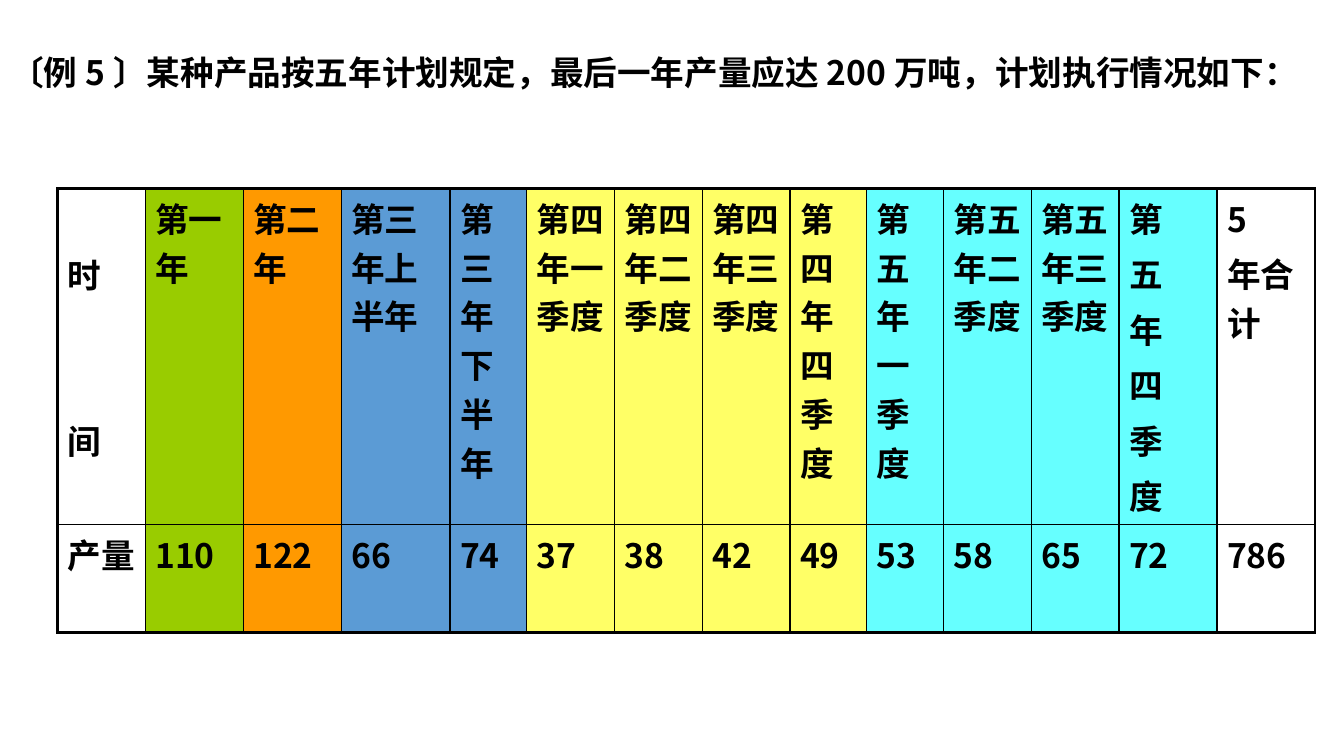
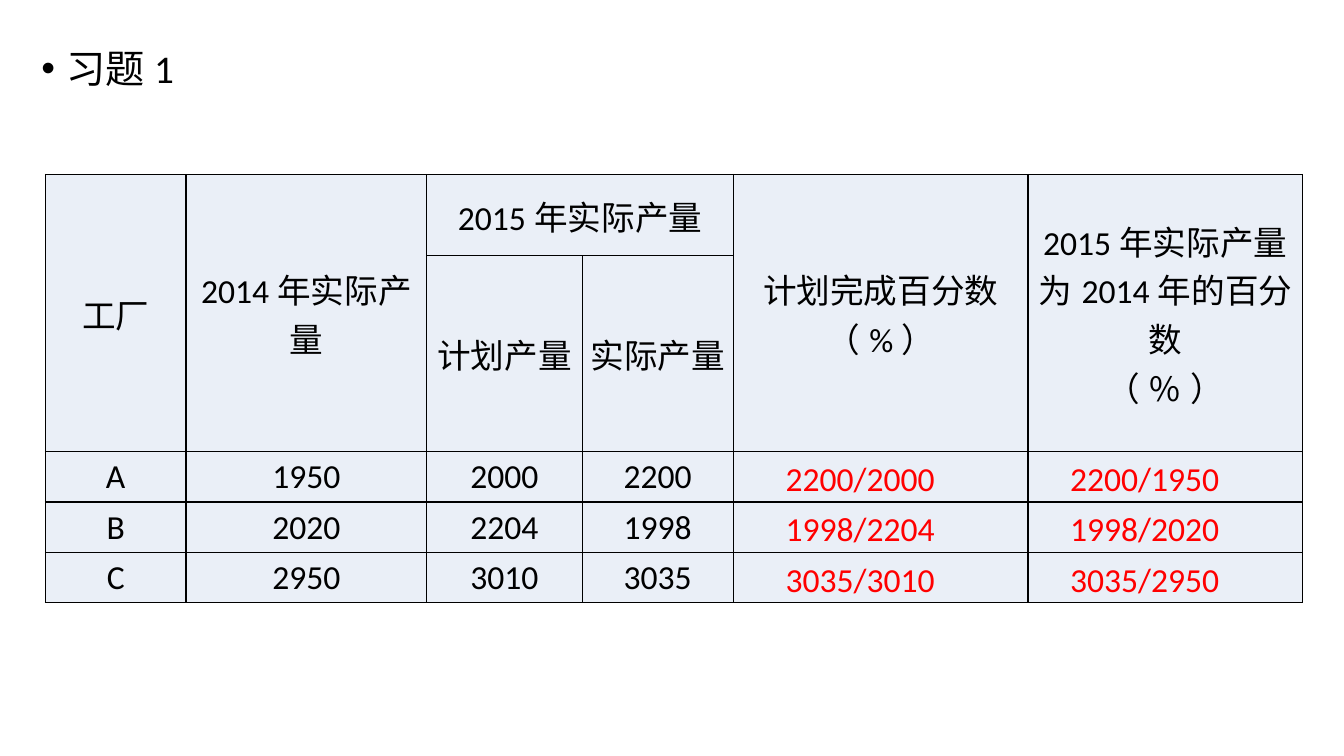
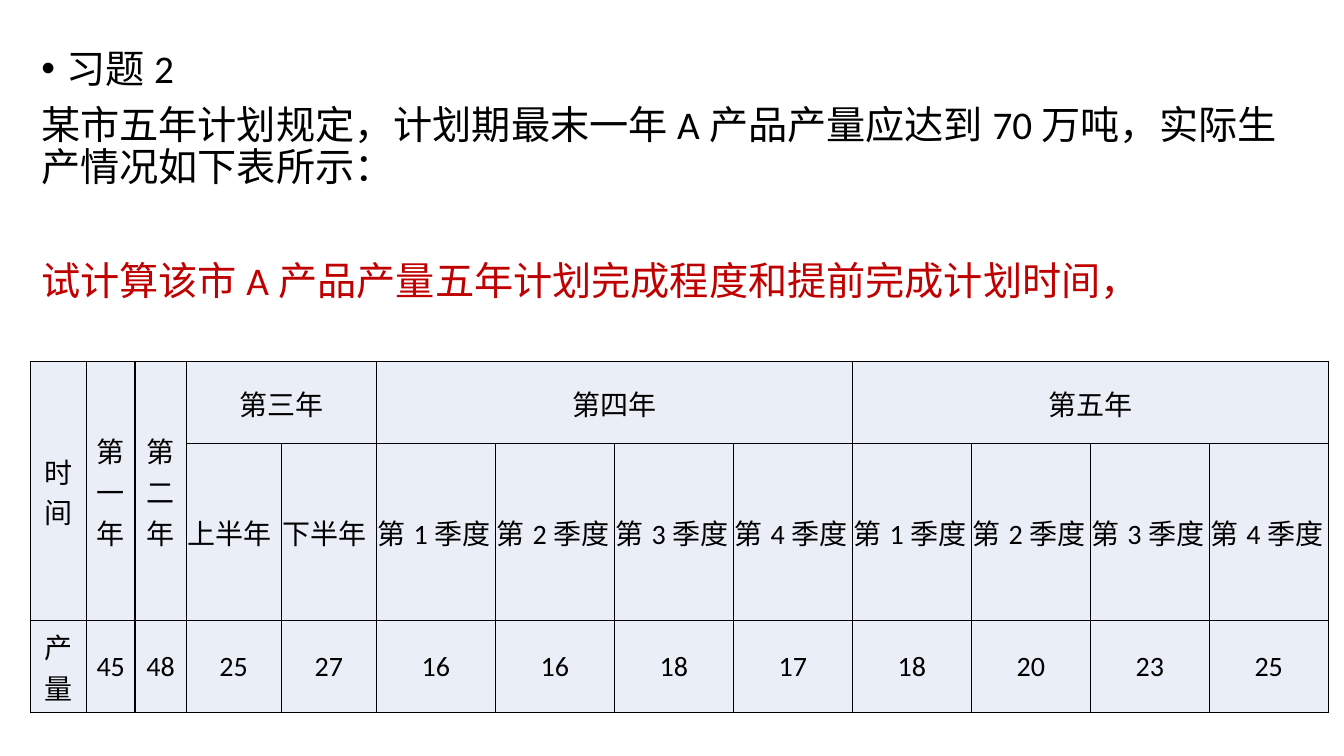
from lxml.etree import SubElement
from pptx import Presentation
from pptx.dml.color import RGBColor
from pptx.enum.lang import MSO_LANGUAGE_ID as LANG
from pptx.enum.text import MSO_ANCHOR as ANCHOR, MSO_AUTO_SIZE as AUTO, PP_ALIGN as ALIGN
from pptx.oxml.ns import qn
from pptx.util import Pt

COLORS = {
    "text": "000000", "answer": "FF0000", "task": "C00000", "cell": "EAEFF7",
    "year1": "99CC00", "year2": "FF9900", "year3": "5B9BD5",
    "year4": "FFFF66", "year5": "66FFFF",
}
HAN_FONT = "Noto Sans CJK SC"
LATIN_FONT = "Calibri"
TITLE_ONLY, TITLE_AND_CONTENT = 5, 1
THIN, THICK = 1, 2.25
QUARTERS = "一二三四"

BOLD_HAN = {"name": HAN_FONT, "size": Pt(24), "bold": True}
BODY_FONT = {"name": LATIN_FONT, "size": Pt(28), "bold": False}
EXERCISE_FONT = {"name": LATIN_FONT, "size": Pt(24), "bold": False}
SMALL_FONT = {**EXERCISE_FONT, "size": Pt(20)}
TIGHT_CELL = {"margin_left": Pt(0.75), "margin_right": Pt(0.75), "margin_top": Pt(0.75),
              "margin_bottom": Pt(0), "vertical_anchor": ANCHOR.MIDDLE}
ANSWER_CELL = {"margin_right": Pt(30), "margin_top": Pt(4.5)}


def set_values(target, values):
    for name, value in values.items():
        setattr(target, name, value)


def place(shape, left, top, width, height):
    set_values(shape, {"left": Pt(left), "top": Pt(top), "width": Pt(width), "height": Pt(height)})


def write_span(para, text, font, color="text", han_font=HAN_FONT):
    """Add a run; han_font sets the East Asian typeface and so the line height."""
    span = para.add_run()
    span.text = text
    set_values(span.font, {**font, "language_id": LANG.SIMPLIFIED_CHINESE})
    span.font.color.rgb = RGBColor.from_string(COLORS[color])
    SubElement(span.font._element, qn("a:ea"), typeface=han_font)


def write_paragraphs(frame, lines, font, color="text", align=ALIGN.LEFT, gap=0):
    for index, line in enumerate(lines):
        para = frame.add_paragraph() if index else frame.paragraphs[0]
        para.alignment = align
        if index and gap:
            para.space_before = Pt(gap)
        write_span(para, line, font, color)


def set_bullet(para, char=None):
    """Show the bullet char with a hanging indent, or no bullet at all."""
    props = para._p.get_or_add_pPr()
    indent = Pt(18) if char else 0
    props.set("marL", str(indent))
    props.set("indent", str(-indent))
    if char:
        SubElement(props, qn("a:buFont"), typeface="Arial")
        SubElement(props, qn("a:buChar"), char=char)
    else:
        SubElement(props, qn("a:buNone"))


def add_title_slide(deck, text):
    page = deck.slides.add_slide(deck.slide_layouts[TITLE_ONLY])
    title = page.shapes.title
    place(title, 0, 0, 960, 106)
    set_values(title.text_frame, {"vertical_anchor": ANCHOR.MIDDLE, "auto_size": AUTO.NONE})
    write_paragraphs(title.text_frame, [text], BOLD_HAN)
    title.text_frame.paragraphs[0].line_spacing = 0.9
    return page


def add_exercise_slide(deck, heading, details=()):
    """Details are (text, colour, space before) below the bulleted heading."""
    page = deck.slides.add_slide(deck.slide_layouts[TITLE_AND_CONTENT])
    title = page.shapes.title
    title._element.getparent().remove(title._element)
    body = page.placeholders[1]
    place(body, 22.3, 31.7, 918.7, 366.5)
    frame = body.text_frame
    frame.auto_size = AUTO.NONE
    for index, (text, color, gap) in enumerate([(heading, "text", 0), *details]):
        para = frame.add_paragraph() if index else frame.paragraphs[0]
        set_bullet(para, None if index else "•")
        set_values(para, {"line_spacing": 0.9, "space_before": Pt(gap), "alignment": ALIGN.LEFT})
        write_span(para, text, BODY_FONT, color, LATIN_FONT)
    return page


def add_grid(page, left, top, widths, heights, merges=()):
    """Add a plain table; merges are (first row, first column, last row, last column)."""
    frame = page.shapes.add_table(len(heights), len(widths), Pt(left), Pt(top),
                                  Pt(sum(widths)), Pt(sum(heights)))
    table = frame.table
    set_values(table, {"first_row": False, "horz_banding": False})
    for column, width in zip(table.columns, widths):
        column.width = Pt(width)
    for row, height in zip(table.rows, heights):
        row.height = Pt(height)
    for row, column, last_row, last_column in merges:
        table.cell(row, column).merge(table.cell(last_row, last_column))
    return table


def set_borders(table, outer=THIN):
    last_row, last_column = len(table.rows) - 1, len(table.columns) - 1
    for row in range(last_row + 1):
        for column in range(last_column + 1):
            props = table.cell(row, column)._tc.get_or_add_tcPr()
            edges = {"L": column == 0, "R": column == last_column,
                     "T": row == 0, "B": row == last_row}
            for side, is_outer in edges.items():
                line = SubElement(props, qn(f"a:ln{side}"), w=str(Pt(outer if is_outer else THIN)))
                fill = SubElement(line, qn("a:solidFill"))
                SubElement(fill, qn("a:srgbClr"), val=COLORS["text"])


def fill_cell(cell, color):
    if color:
        cell.fill.solid()
        cell.fill.fore_color.rgb = RGBColor.from_string(COLORS[color])
    else:
        cell.fill.background()


def fill_exercise_table(table, rows, font, left_rows=(), answer_columns=()):
    """Rows hold None where a merged cell covers the place."""
    set_borders(table)
    for row, texts in enumerate(rows):
        for column, text in enumerate(texts):
            cell = table.cell(row, column)
            fill_cell(cell, "cell")
            set_values(cell, TIGHT_CELL)
            if text is None:
                continue
            is_answer = column in answer_columns and "/" in text
            if is_answer:
                set_values(cell, ANSWER_CELL)
            write_paragraphs(cell.text_frame, text.split("\n"), font,
                             "answer" if is_answer else "text",
                             ALIGN.LEFT if row in left_rows else ALIGN.CENTER)


def build_example(deck):
    page = add_title_slide(
        deck, "〔例5〕某种产品按五年计划规定，最后一年产量应达200万吨，计划执行情况如下：")
    year_width, quarter_width, narrow = 70, 62.75, 54.75
    widths = [quarter_width, year_width, year_width, 77.75, narrow, *[quarter_width] * 3,
              narrow, narrow, quarter_width, quarter_width, year_width, year_width]
    table = add_grid(page, 41, 134.6, widths, [240, 77])
    set_borders(table, THICK)
    headers = ["时\n间", "第一年", "第二年", "第三年上半年", "第三年下半年",
               *[f"第{year}年{quarter}季度" for year in "四五" for quarter in QUARTERS],
               "5\n年合计"]
    headers[-2] = "\n".join(headers[-2])
    outputs = "产量 110 122 66 74 37 38 42 49 53 58 65 72 786".split()
    fills = [None, "year1", "year2", *["year3"] * 2, *["year4"] * 4, *["year5"] * 4, None]
    for row, texts in enumerate([headers, outputs]):
        for column, (text, color) in enumerate(zip(texts, fills)):
            cell = table.cell(row, column)
            fill_cell(cell, color)
            write_paragraphs(cell.text_frame, text.split("\n"), BOLD_HAN, gap=4.8)
    time_cell = table.cell(0, 0)
    time_cell.margin_top = Pt(43.5)
    time_cell.text_frame.paragraphs[1].space_before = Pt(84)


def build_factory_exercise(deck):
    page = add_exercise_slide(deck, "习题1")
    merges = [(0, 2, 0, 3), *[(0, column, 1, column) for column in (0, 1, 4, 5)]]
    table = add_grid(page, 32.4, 124.6, [100.5, 172, 111, 108, 210.5, 196],
                     [58, 140, 36, 36, 36], merges)
    factories = [("A", 1950, 2000, 2200), ("B", 2020, 2204, 1998), ("C", 2950, 3010, 3035)]
    rows = [
        ["工厂", "2014年实际产量", "2015年实际产量", None, "计划完成百分数（%）",
         "2015年实际产量为2014年的百分数\n（%）"],
        [None, None, "计划产量", "实际产量", None, None],
        *[[name, str(before), str(plan), str(actual), f"{actual}/{plan}", f"{actual}/{before}"]
          for name, before, plan, actual in factories],
    ]
    fill_exercise_table(table, rows, EXERCISE_FONT, answer_columns=(4, 5))
    percent = table.cell(0, 5).text_frame.paragraphs[1].runs[0]
    percent.font.name = HAN_FONT


def build_plan_exercise(deck):
    page = add_exercise_slide(deck, "习题2", [
        ("某市五年计划规定，计划期最末一年A产品产量应达到70万吨，实际生产情况如下表所示：", "text", 10),
        ("试计算该市A产品产量五年计划完成程度和提前完成计划时间，", "task", 51),
    ])
    merges = [*[(0, column, 1, column) for column in range(3)],
              (0, 3, 0, 4), (0, 5, 0, 8), (0, 9, 0, 12)]
    table = add_grid(page, 22, 258, [39.75, 34.75, 36.5, 68, 68, *[85] * 8],
                     [59, 126, 66], merges)
    rows = [
        ["时间", "第一年", "第二年", "第三年", None, "第四年", *[None] * 3, "第五年", *[None] * 3],
        [None, None, None, "上半年", "下半年", *[f"第{number}季度" for number in range(1, 5)] * 2],
        "产量 45 48 25 27 16 16 18 17 18 20 23 25".split(),
    ]
    fill_exercise_table(table, rows, SMALL_FONT, left_rows=(1,))


def main():
    deck = Presentation()
    set_values(deck, {"slide_width": Pt(960), "slide_height": Pt(540)})
    build_example(deck)
    build_factory_exercise(deck)
    build_plan_exercise(deck)
    deck.save("out.pptx")


if __name__ == "__main__":
    main()
